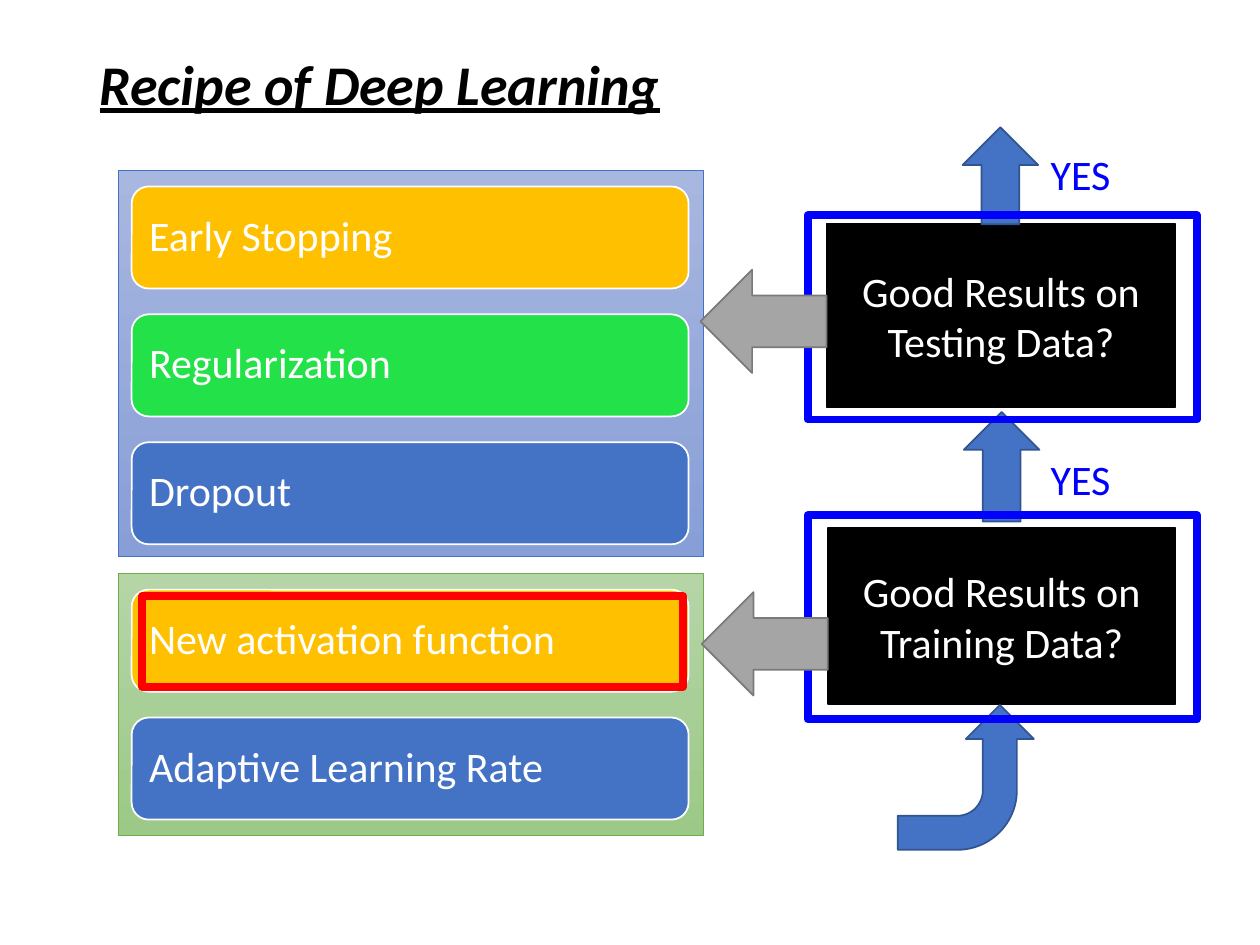
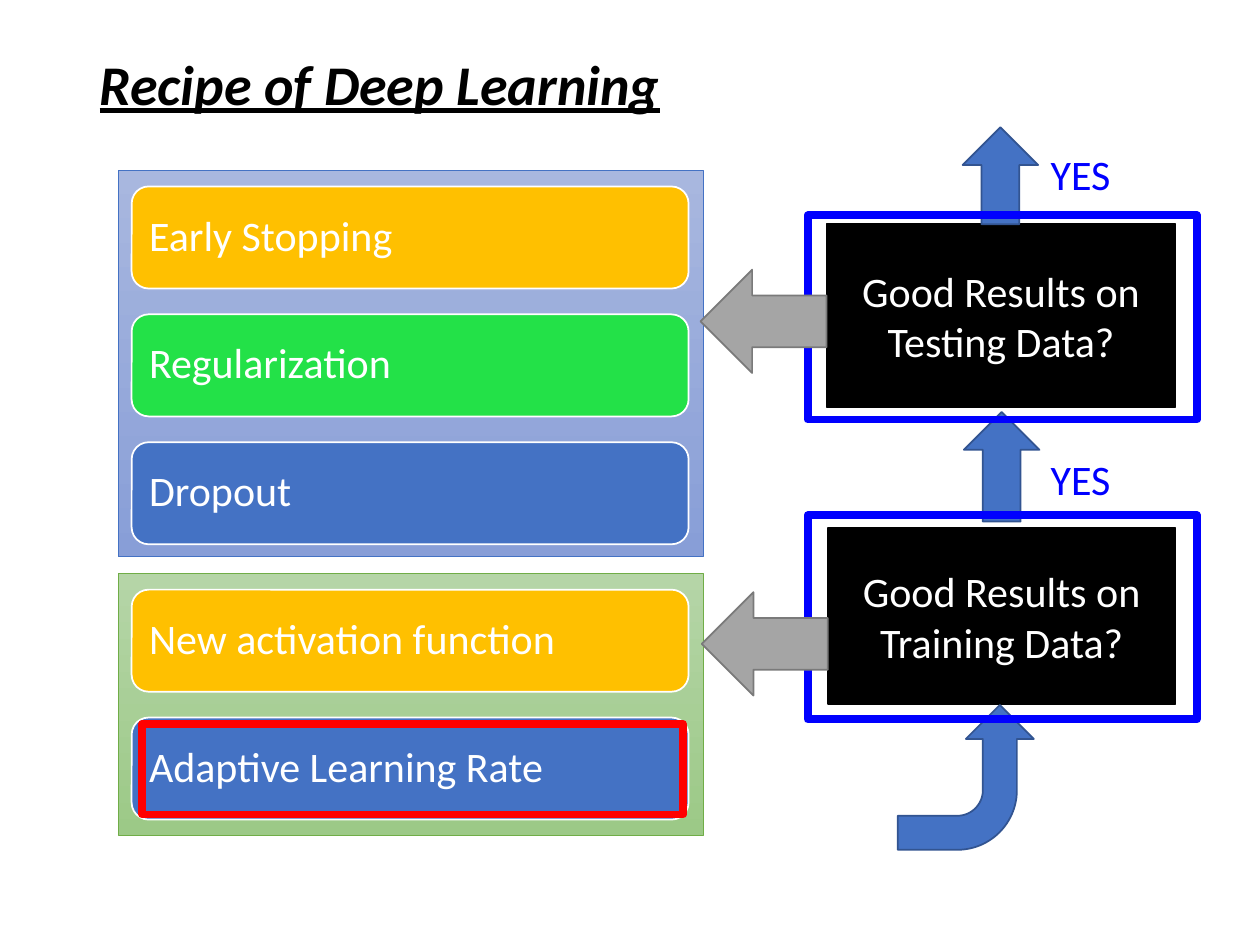
from pptx import Presentation
from pptx.dml.color import RGBColor
from pptx.enum.shapes import MSO_SHAPE as Shape
from pptx.enum.text import MSO_ANCHOR as Anchor, MSO_AUTO_SIZE as AutoSize, PP_ALIGN as Align
from pptx.util import Inches, Pt

COLORS = {
    "black": "000000", "white": "FFFFFF", "highlight": "FF0000", "frame": "0000FF",
    "blue": "4472C4", "blue_edge": "325491", "gray": "A5A5A5", "gray_edge": "7A7A7A",
    "amber": "FFC000", "green": "23E148", "panel_green_edge": "70AD47",
    "panel_green_top": "B5D5A7", "panel_green_bottom": "9CC987",
    "panel_blue_top": "A8B7DF", "panel_blue_bottom": "889ED7",
}
FONT = "Calibri"
TITLE_SIZE, BODY_SIZE = 32, 24
COLUMNS, ROWS = 100, 75
SLIDE_WIDTH, SLIDE_HEIGHT = Inches(10), Inches(7.5)
TITLE_ONLY = 5

# Shared layout, in grid columns and rows
CARD_LEFT, CARD_WIDTH, CARD_HEIGHT, CARD_PITCH = 10.45, 44.2, 8.1, 10.15
TESTING_CARDS_TOP, TRAINING_CARDS_TOP = 14.8, 46.8
TESTING_CARDS = [("Early Stopping", "amber"), ("Regularization", "green"), ("Dropout", "blue")]
TRAINING_CARDS = [("New activation function", "amber"), ("Adaptive Learning Rate", "blue")]


def color(name):
    return RGBColor.from_string(COLORS[name])


class RecipeSlide:
    """Holds the style and the current slide; positions are grid units."""

    def __init__(self, presentation):
        self.slide = presentation.slides.add_slide(presentation.slide_layouts[TITLE_ONLY])

    def place(self, left, top, width, height):
        column, row = SLIDE_WIDTH / COLUMNS, SLIDE_HEIGHT / ROWS
        return [round(value) for value in (left * column, top * row, width * column, height * row)]

    def add_text(self, shape, text, size=BODY_SIZE, ink="white", align=Align.LEFT, anchor=Anchor.MIDDLE):
        frame = shape.text_frame
        frame.word_wrap = True
        frame.auto_size = AutoSize.NONE
        frame.vertical_anchor = anchor
        paragraph = frame.paragraphs[0]
        paragraph.alignment = align
        run = paragraph.add_run()
        run.text = text
        run.font.name, run.font.size = FONT, Pt(size)
        run.font.color.rgb = color(ink)
        return run

    def title(self, text):
        shape = self.slide.shapes.title
        shape.left, shape.top, shape.width, shape.height = self.place(6.9, 3.4, 47.6, 6.4)
        run = self.add_text(shape, text, TITLE_SIZE, "black", anchor=Anchor.TOP)
        run.font.bold = run.font.italic = run.font.underline = True

    def shape(self, kind, box, fill, edge, edge_width=1):
        shape = self.slide.shapes.add_shape(kind, *self.place(*box))
        shape.shadow.inherit = False
        if fill:
            shape.fill.solid()
            shape.fill.fore_color.rgb = color(fill)
        else:
            shape.fill.background()
        shape.line.color.rgb = color(edge)
        shape.line.width = Pt(edge_width)
        return shape

    def panel(self, top, height, tint, edge):
        panel = self.shape(Shape.RECTANGLE, (9.4, top, 46.4, height), None, edge, 0.5)
        panel.fill.gradient()
        panel.fill.gradient_angle = 270
        for stop, end in zip(panel.fill.gradient_stops, ("top", "bottom")):
            stop.color.rgb = color(f"{tint}_{end}")

    def cards(self, top, entries):
        for index, (text, fill) in enumerate(entries):
            box = (CARD_LEFT, top + index * CARD_PITCH, CARD_WIDTH, CARD_HEIGHT)
            card = self.shape(Shape.ROUNDED_RECTANGLE, box, fill, "white")
            self.add_text(card, text)
            card.text_frame.paragraphs[0].line_spacing = 0.9

    def outline(self, box, edge):
        self.shape(Shape.RECTANGLE, box, None, edge, 4.5)

    def question(self, text, box):
        shape = self.shape(Shape.RECTANGLE, box, "black", "black")
        self.add_text(shape, text, align=Align.CENTER)

    def yes_arrow(self, left, top, height, label_top):
        self.shape(Shape.UP_ARROW, (left, top, 6, height), "blue", "blue_edge")
        label = self.slide.shapes.add_textbox(*self.place(82.4, label_top, 8.4, 5))
        self.add_text(label, "YES", ink="frame", anchor=Anchor.TOP)

    def entry_arrow(self):
        arrow = self.shape(Shape.BENT_ARROW, (70.9, 56.3, 11.5, 10.8), "blue", "blue_edge")
        arrow.rotation = 270
        arrow.element.spPr.xfrm.set("flipV", "1")

    def remedy_arrow(self, left, top):
        self.shape(Shape.LEFT_ARROW, (left, top, 10, 8.2), "gray", "gray_edge")


def build_recipe(presentation, highlighted):
    recipe = RecipeSlide(presentation)
    recipe.title("Recipe of Deep Learning")

    # Questions and the flow between them
    recipe.question("Good Results on Testing Data?", (65.6, 17.8, 27.7, 14.5))
    recipe.question("Good Results on Training Data?", (65.7, 41.9, 27.6, 14))
    recipe.yes_arrow(76.4, 10.1, 7.7, label_top=11.3)
    recipe.yes_arrow(76.5, 32.7, 8.7, label_top=35.5)
    recipe.entry_arrow()
    for top in (17.1, 40.9):
        recipe.outline((64.1, top, 30.9, 16.2), "frame")

    # Remedies for each question
    recipe.panel(13.5, 30.7, "panel_blue", "blue")
    recipe.cards(TESTING_CARDS_TOP, TESTING_CARDS)
    recipe.remedy_arrow(55.6, 21.4)
    recipe.panel(45.5, 20.8, "panel_green", "panel_green_edge")
    recipe.cards(TRAINING_CARDS_TOP, TRAINING_CARDS)
    recipe.remedy_arrow(55.7, 47)

    # Remedy under discussion
    top = TRAINING_CARDS_TOP + highlighted * CARD_PITCH + 0.5
    recipe.outline((11.3, top, 42.9, 7.2), "highlight")


def main():
    presentation = Presentation()
    presentation.slide_width, presentation.slide_height = SLIDE_WIDTH, SLIDE_HEIGHT
    for highlighted in range(len(TRAINING_CARDS)):
        build_recipe(presentation, highlighted)
    presentation.save("out.pptx")


if __name__ == "__main__":
    main()
